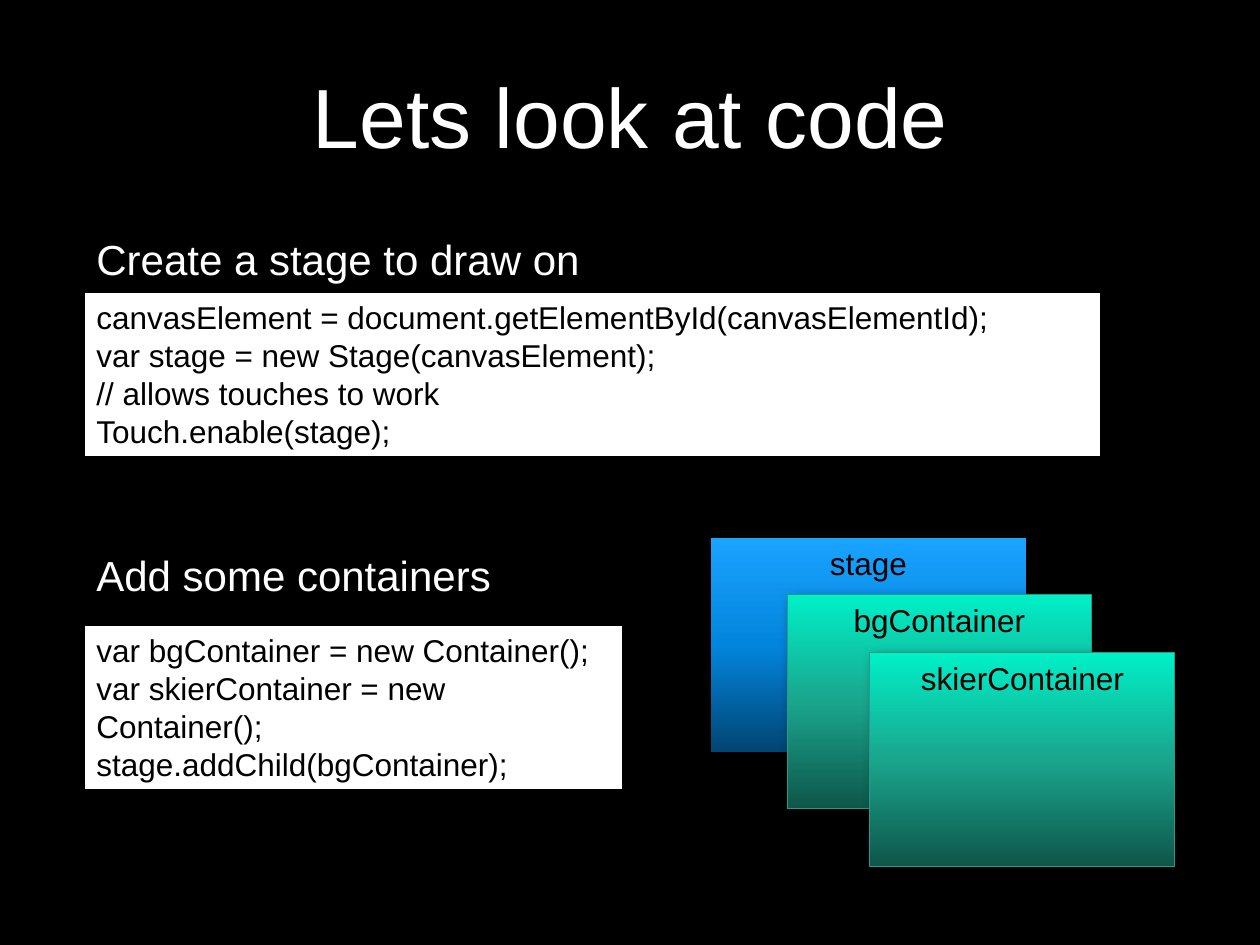
from lxml import etree
from pptx import Presentation
from pptx.dml.color import RGBColor
from pptx.enum.shapes import MSO_SHAPE
from pptx.enum.text import MSO_ANCHOR, PP_ALIGN
from pptx.oxml.ns import qn
from pptx.util import Pt

PX = 914400 // 126
RECT = MSO_SHAPE.RECTANGLE
TOP, MIDDLE = MSO_ANCHOR.TOP, MSO_ANCHOR.MIDDLE
LEFT, CENTER = PP_ALIGN.LEFT, PP_ALIGN.CENTER
BLACK, WHITE = "000000", "FFFFFF"
BLUES = ("014573", "0285DD", "1AA3FF")
GREENS = ("0E564A", "1AA58D", "00F0C7")


def rgb(value):
    """Turn a hex string into a colour."""
    return RGBColor.from_string(value)


def emu(box):
    """Turn a box in pixels into EMU."""
    return [length * PX for length in box]


def write(frame, lines, size, color, align=LEFT, anchor=TOP):
    """Fill a text frame with one paragraph per line."""
    frame.word_wrap = True
    frame.vertical_anchor = anchor
    frame.text = "\n".join(lines)
    for paragraph in frame.paragraphs:
        paragraph.alignment = align
        paragraph.font.name = "Arial"
        paragraph.font.size = Pt(size)
        paragraph.font.color.rgb = rgb(color)


def add_color(parent, value):
    """Append a colour element and return it."""
    return etree.SubElement(parent, qn("a:srgbClr"), val=value)


def add_title(slide, box, wording):
    """Place and format the title placeholder."""
    title = slide.shapes.title
    title.left, title.top, title.width, title.height = emu(box)
    write(title.text_frame, [wording], 48, WHITE, CENTER, MIDDLE)


def add_panel(slide, box):
    """Add a plain rectangle without a shadow."""
    panel = slide.shapes.add_shape(RECT, *emu(box))
    panel.shadow.inherit = False
    return panel


def add_step(slide, box, heading, code, code_offset):
    """Add a heading with a code box below it."""
    left, top, width, height = box
    listing = add_panel(slide, (left, top + code_offset, width, height - code_offset))
    listing.fill.solid()
    listing.fill.fore_color.rgb = rgb(WHITE)
    listing.line.color.rgb = rgb(BLACK)
    listing.line.width = Pt(1.5)
    write(listing.text_frame, code, 18, BLACK)
    label = slide.shapes.add_textbox(*emu((left, top, 518, 63)))
    write(label.text_frame, [heading], 24, WHITE)


def add_layer(slide, box, name, shades, outline, shadow):
    """Add a layer with a vertical gradient and a soft shadow."""
    layer = add_panel(slide, box)
    if outline:
        layer.line.color.rgb = rgb(outline)
        layer.line.width = Pt(0.5)
    else:
        layer.line.fill.background()
    write(layer.text_frame, [name], 18, BLACK, CENTER)

    properties = layer._element.spPr
    gradient = etree.Element(qn("a:gradFill"), rotWithShape="1")
    stops = etree.SubElement(gradient, qn("a:gsLst"))
    for index, shade in enumerate(shades):
        add_color(etree.SubElement(stops, qn("a:gs"), pos=str(index * 50000)), shade)
    etree.SubElement(gradient, qn("a:lin"), ang=str(270 * 60000), scaled="0")
    properties.find(qn("a:prstGeom")).addnext(gradient)

    opacity, blur, distance, angle = shadow
    cast = etree.SubElement(
        properties.find(qn("a:effectLst")), qn("a:outerShdw"),
        blurRad=str(Pt(blur)), dist=str(Pt(distance)),
        dir=str(angle * 60000), rotWithShape="0")
    etree.SubElement(add_color(cast, BLACK), qn("a:alpha"), val=str(opacity * 1000))


def add_layers(slide, box):
    """Stack the stage and its containers within a box."""
    left, top, width, height = box
    add_layer(slide, (left, top, 315, height), "stage", BLUES, None, (75, 10, 5, 90))
    for name, x, y in (("bgContainer", 76, 57), ("skierContainer", 159, 115)):
        add_layer(slide, (left + x, top + y, width, height), name,
                  GREENS, "289B88", (55, 7, 4, 35))


def main():
    """Build the slide and save it."""
    deck = Presentation()
    deck.slide_width, deck.slide_height = emu((1260, 945))
    slide = deck.slides.add_slide(deck.slide_layouts[5])
    slide.background.fill.solid()
    slide.background.fill.fore_color.rgb = rgb(BLACK)
    add_title(slide, (95, 16, 1071, 197), "Lets look at code")
    add_step(slide, (84, 227, 1017, 230), "Create a stage to draw on", (
        "canvasElement = document.getElementById(canvasElementId);",
        "var stage = new Stage(canvasElement);",
        "// allows touches to work",
        "Touch.enable(stage);"), 65)
    add_step(slide, (84, 543, 539, 247), "Add some containers", (
        "var bgContainer = new Container();",
        "var skierContainer = new Container();",
        "stage.addChild(bgContainer);"), 82)
    add_layers(slide, (711, 538, 305, 214))
    deck.save("out.pptx")


main()
